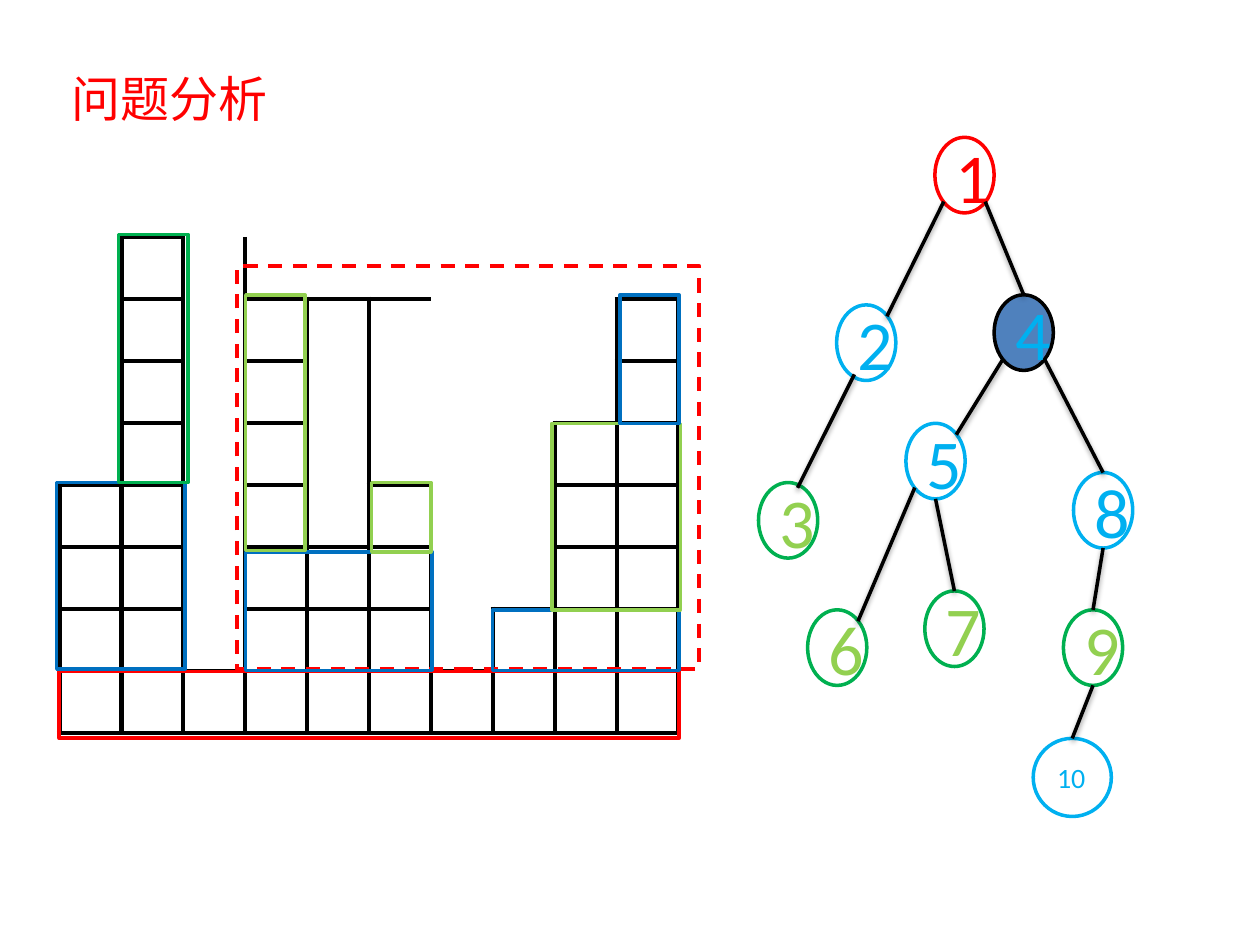
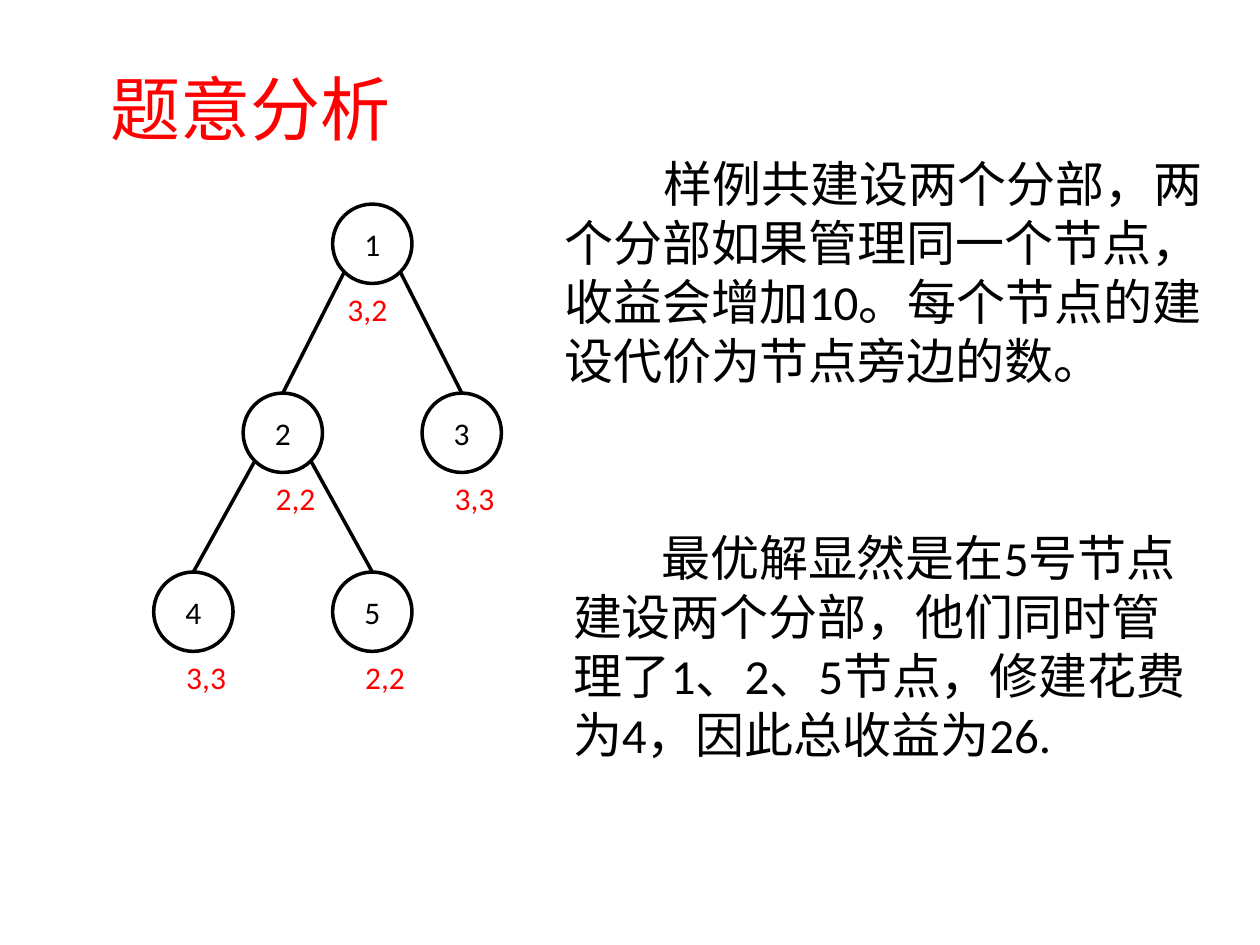
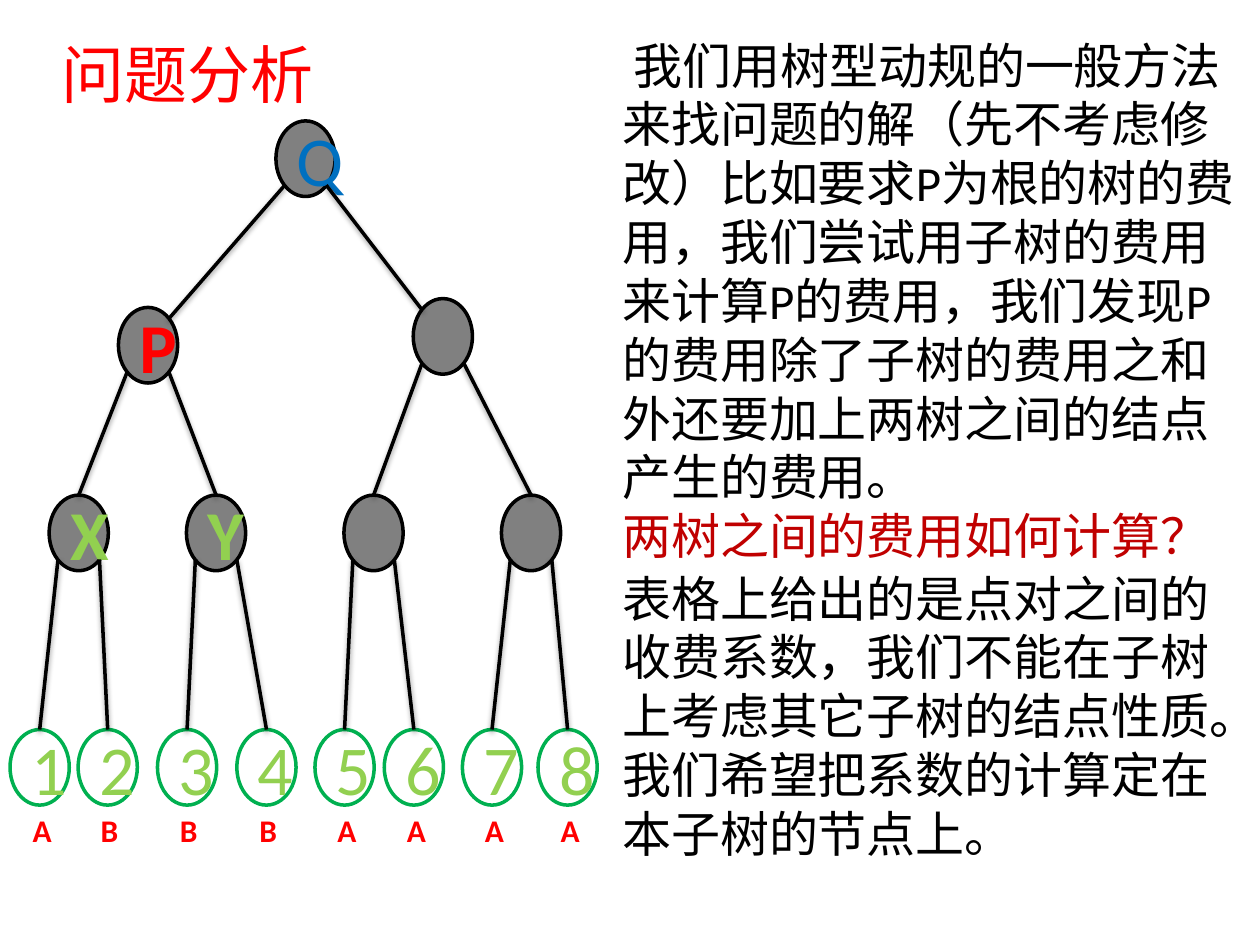
from dataclasses import dataclass

from lxml import etree
from pptx import Presentation
from pptx.dml.color import RGBColor
from pptx.enum import dml, shapes, text
from pptx.oxml.ns import qn
from pptx.util import Inches, Pt

FONT = "Calibri"
BLACK, WHITE, RED, DARK_RED = "000000", "FFFFFF", "FF0000", "C00000"
BLUE, SKY, STEEL, GRAY = "0070C0", "00B0F0", "4F81BD", "808080"
GREEN, LIME = "00B050", "92D050"
NO_GRID_STYLE = "{2D5ABB26-0587-4C30-8999-92F81FD0307C}"

# Points on an ellipse as fractions of its box
TOP, BOTTOM = (0.5, 0), (0.5, 1)
TOP_LEFT, TOP_RIGHT = (0.15, 0.15), (0.85, 0.15)
LOW_LEFT, LOW_RIGHT = (0.15, 0.85), (0.85, 0.85)


@dataclass
class Node:
    """A tree node; x and y are relative to the tree's corner."""
    x: float
    y: float
    label: str = ""
    color: str = BLACK
    line: str = BLACK
    fill: str = ""
    size: int = 40
    bold: bool = False
    width: float = 0.47
    height: float = 0.6
    centered: bool = True


def rgb(color):
    return RGBColor.from_string(color)


def style_runs(paragraph, size, color, bold=False):
    for run in paragraph.runs:
        run.font.name = FONT
        run.font.size = Pt(size)
        run.font.bold = bold
        run.font.color.rgb = rgb(color)


def add_title(slide, words, box, size, anchor=text.MSO_ANCHOR.TOP):
    title = slide.shapes.title
    title.left, title.top, title.width, title.height = map(Inches, box)
    frame = title.text_frame
    frame.text = words
    frame.auto_size = text.MSO_AUTO_SIZE.NONE
    frame.vertical_anchor = anchor
    frame.paragraphs[0].alignment = text.PP_ALIGN.LEFT
    style_runs(frame.paragraphs[0], size, RED)


def add_text(slide, box, paragraphs, size, bold=False, indent=0):
    """Write (words, colour) paragraphs, the first with a first-line indent."""
    frame = slide.shapes.add_textbox(*map(Inches, box)).text_frame
    frame.word_wrap = True
    for number, (words, color) in enumerate(paragraphs):
        paragraph = frame.add_paragraph() if number else frame.paragraphs[0]
        paragraph.text = words
        style_runs(paragraph, size, color, bold)
    if indent:
        frame.paragraphs[0]._p.get_or_add_pPr().set("indent", str(Inches(indent)))


def add_outline(slide, kind, box, line, fill=""):
    shape = slide.shapes.add_shape(kind, *map(Inches, box))
    shape.shadow.inherit = False
    shape.line.color.rgb = rgb(line)
    shape.line.width = Pt(2)
    if fill:
        shape.fill.solid()
        shape.fill.fore_color.rgb = rgb(fill)
    else:
        shape.fill.background()
    return shape


def add_edge(slide, start, end, shadow):
    edge = slide.shapes.add_connector(
        shapes.MSO_CONNECTOR.STRAIGHT, *map(Inches, (*start, *end)))
    edge.line.color.rgb = rgb(BLACK)
    edge.line.width = Pt(2)
    effects = etree.SubElement(edge._element.spPr, qn("a:effectLst"))
    if shadow:
        outer = etree.SubElement(
            effects, qn("a:outerShdw"), blurRad=str(Pt(3.1)), dist=str(Pt(1.6)),
            dir="5400000", rotWithShape="0")
        color = etree.SubElement(outer, qn("a:srgbClr"), val=BLACK)
        etree.SubElement(color, qn("a:alpha"), val="38000")


def add_tree(slide, left, top, nodes, edges, shadow=True):
    """Draw nodes, then edges given as (parent, site, child, site)."""
    for node in nodes.values():
        box = (left + node.x, top + node.y, node.width, node.height)
        circle = add_outline(slide, shapes.MSO_SHAPE.OVAL, box, node.line, node.fill)
        if node.label:
            circle.text_frame.text = node.label
            paragraph = circle.text_frame.paragraphs[0]
            paragraph.alignment = (text.PP_ALIGN.CENTER if node.centered
                                   else text.PP_ALIGN.LEFT)
            style_runs(paragraph, node.size, node.color, node.bold)

    def point(name, site):
        node = nodes[name]
        return (left + node.x + site[0] * node.width,
                top + node.y + site[1] * node.height)

    for parent, leave, child, arrive in edges:
        add_edge(slide, point(parent, leave), point(child, arrive), shadow)


def fork(parent, low, high, low_site=TOP, high_site=TOP):
    """Edges from a parent to its left and right child."""
    return [(parent, LOW_LEFT, low, low_site), (parent, LOW_RIGHT, high, high_site)]


def set_borders(cell, sides):
    properties = cell._tc.get_or_add_tcPr()
    for side in "LRTB":
        if side in sides:
            line = etree.SubElement(properties, qn(f"a:ln{side}"), w=str(Pt(3)))
            fill = etree.SubElement(line, qn("a:solidFill"))
            etree.SubElement(fill, qn("a:srgbClr"), val=BLACK)


def add_histogram(slide, left, top, width, height):
    """Draw the columns as grid cells; the space above each is one merged cell."""
    column_heights = [4, 8, 1, 7, 3, 4, 1, 2, 5, 7]
    extra_sides = {0: "R", 2: "L", 4: "L"}
    lintel = range(3, 6)
    rows = max(column_heights)
    table = slide.shapes.add_table(
        rows, len(column_heights), *map(Inches, (left, top, width, height))).table
    table.first_row = table.horz_banding = False
    table._tbl.tblPr.find(qn("a:tableStyleId")).text = NO_GRID_STYLE

    for column, filled in enumerate(column_heights):
        first = 1 if column in lintel else 0
        blank = rows - filled
        if blank > first:
            set_borders(table.cell(first, column), "B" + extra_sides.get(column, ""))
            if blank - first > 1:
                table.cell(first, column).merge(table.cell(blank - 1, column))
        for row in range(blank, rows):
            set_borders(table.cell(row, column), "LRTB")
    set_borders(table.cell(0, lintel[0]), "B")
    table.cell(0, lintel[0]).merge(table.cell(0, lintel[-1]))
    for cell in table.iter_cells():
        cell.fill.background()


def add_blocks(slide, left, top):
    """Outline the rectangles that the histogram is split into."""
    process, rectangle = shapes.MSO_SHAPE.FLOWCHART_PROCESS, shapes.MSO_SHAPE.RECTANGLE
    blocks = [
        (rectangle, 0, 3.45, 4.92, 0.53, RED),
        (process, -0.02, 1.95, 1.02, 1.48, BLUE),
        (process, 0.47, -0.02, 0.55, 1.97, GREEN),
        (process, 1.48, 2.5, 1.48, 0.94, BLUE),
        (process, 1.48, 0.46, 0.47, 2.03, LIME),
        (process, 2.48, 1.95, 0.47, 0.55, LIME),
        (process, 3.44, 2.96, 1.48, 0.48, BLUE),
        (process, 3.91, 1.48, 1.02, 1.48, LIME),
        (process, 4.45, 0.46, 0.47, 1.02, BLUE),
    ]
    subproblem = add_outline(
        slide, rectangle, (left + 1.41, top + 0.23, 3.67, 3.2), RED)
    subproblem.line.dash_style = dml.MSO_LINE.DASH
    for kind, x, y, width, height, color in blocks:
        add_outline(slide, kind, (left + x, top + y, width, height), color)


def build_histogram_slide(slide):
    add_title(slide, "问题分析", (0.47, 0.31, 4.3, 0.94), 28, text.MSO_ANCHOR.MIDDLE)
    add_histogram(slide, 0.47, 1.88, 4.92, 3.94)
    add_blocks(slide, 0.47, 1.88)

    places = {
        RED: {1: (1.4, 0)},
        SKY: {2: (0.62, 1.33), 5: (1.17, 2.27), 8: (2.5, 2.66)},
        GREEN: {3: (0, 2.74), 6: (0.39, 3.75), 7: (1.32, 3.6), 9: (2.42, 3.75)},
    }
    nodes = {
        number: Node(x, y, str(number), LIME if line == GREEN else line, line)
        for line, group in places.items() for number, (x, y) in group.items()
    }
    nodes[4] = Node(1.87, 1.25, "4", SKY, BLACK, STEEL)
    nodes[10] = Node(2.18, 4.77, "10", SKY, SKY, size=16,
                     width=0.62, height=0.62, centered=False)
    edges = [
        *fork(1, 2, 4, low_site=TOP_RIGHT),
        *fork(4, 5, 8, low_site=TOP_RIGHT),
        (2, (0.3, 0.92), 3, (0.66, 0.07)),
        (5, LOW_LEFT, 6, TOP_RIGHT),
        (5, BOTTOM, 7, TOP),
        (8, BOTTOM, 9, TOP),
        (9, BOTTOM, 10, TOP),
    ]
    add_tree(slide, 6.02, 1.09, nodes, edges)


def add_cost_tree(slide, left, top):
    step, diameter = 0.71, 0.63
    places = [(2, 0), (1, 1.5), (3, 1.5), (0, 2.92), (2, 2.92)]
    costs = ["3,2", "2,2", "3,3", "3,3", "2,2"]
    nodes = {
        number: Node(column * step, y, str(number), fill=WHITE, size=18,
                     width=diameter, height=diameter)
        for number, (column, y) in enumerate(places, 1)
    }
    add_tree(slide, left, top, nodes, fork(1, 2, 3) + fork(2, 4, 5), shadow=False)
    for (number, node), cost in zip(nodes.items(), costs):
        shift = 0.02 if number == 1 else 0.16
        box = (left + node.x + shift, top + node.y + diameter, 0.8, 0.4)
        add_text(slide, box, [(cost, RED)], 18)


def build_sample_slide(slide):
    add_title(slide, "题意分析", (0.78, 0.47, 3, 0.77), 40)
    add_cost_tree(slide, 1.22, 1.62)
    add_text(slide, (4.38, 1.17, 5.31, 1.99), [(
        "样例共建设两个分部，两个分部如果管理同一个节点，收益会增加10。"
        "每个节点的建设代价为节点旁边的数。", BLACK)], 28, indent=0.79)
    add_text(slide, (4.45, 4.14, 5.16, 1.99), [(
        "最优解显然是在5号节点建设两个分部，他们同时管理了1、2、5节点，"
        "修建花费为4，因此总收益为26.", BLACK)], 28, indent=0.7)


def add_fee_tree(slide, left, top):
    inner = {"line": BLACK, "fill": GRAY}
    nodes = {
        "Q": Node(2.11, 0, "Q", BLUE, **inner),
        "P": Node(0.86, 1.48, "P", RED, bold=True, **inner),
        "right": Node(3.2, 1.41, **inner),
        "X": Node(0.31, 2.97, "X", LIME, bold=True, **inner),
        "Y": Node(1.4, 2.97, "Y", LIME, bold=True, **inner),
        "right low": Node(2.65, 2.97, **inner),
        "right high": Node(3.9, 2.97, **inner),
    }
    edges = [
        *fork("Q", "P", "right", TOP_RIGHT, TOP_LEFT),
        *fork("P", "X", "Y"),
        *fork("right", "right low", "right high"),
    ]
    for index, parent in enumerate(["X", "Y", "right low", "right high"]):
        edges += fork(parent, 2 * index + 1, 2 * index + 2)

    leaf_xs = [0, 0.54, 1.17, 1.8, 2.42, 2.97, 3.59, 4.19]
    for number, (x, kind) in enumerate(zip(leaf_xs, "ABBBAAAA"), 1):
        nodes[number] = Node(x, 4.83, str(number), LIME, GREEN)
        add_text(slide, (left + x + 0.08, top + 5.43, 0.39, 0.4),
                 [(kind, RED)], 18, bold=True)
    add_tree(slide, left, top, nodes, edges)


def build_fee_slide(slide):
    add_title(slide, "问题分析", (0.39, 0.23, 4.69, 0.71), 36)
    add_text(slide, (4.84, 0.23, 5.08, 4.34), [
        ("我们用树型动规的一般方法来找问题的解（先不考虑修改）比如要求P为根的树的"
         "费用，我们尝试用子树的费用来计算P的费用，我们发现P的费用除了子树的费用"
         "之和外还要加上两树之间的结点产生的费用。", BLACK),
        ("两树之间的费用如何计算？", DARK_RED)], 28, indent=0.09)
    add_fee_tree(slide, 0.08, 0.96)
    add_text(slide, (4.84, 4.46, 5.08, 2.46), [(
        "表格上给出的是点对之间的收费系数，我们不能在子树上考虑其它子树的结点性质。"
        "我们希望把系数的计算定在本子树的节点上。", BLACK)], 28)


def main():
    prs = Presentation()
    prs.slide_width, prs.slide_height = Inches(10), Inches(7.5)
    title_only = prs.slide_layouts[5]
    for build in (build_histogram_slide, build_sample_slide, build_fee_slide):
        build(prs.slides.add_slide(title_only))
    prs.save("out.pptx")


if __name__ == "__main__":
    main()
